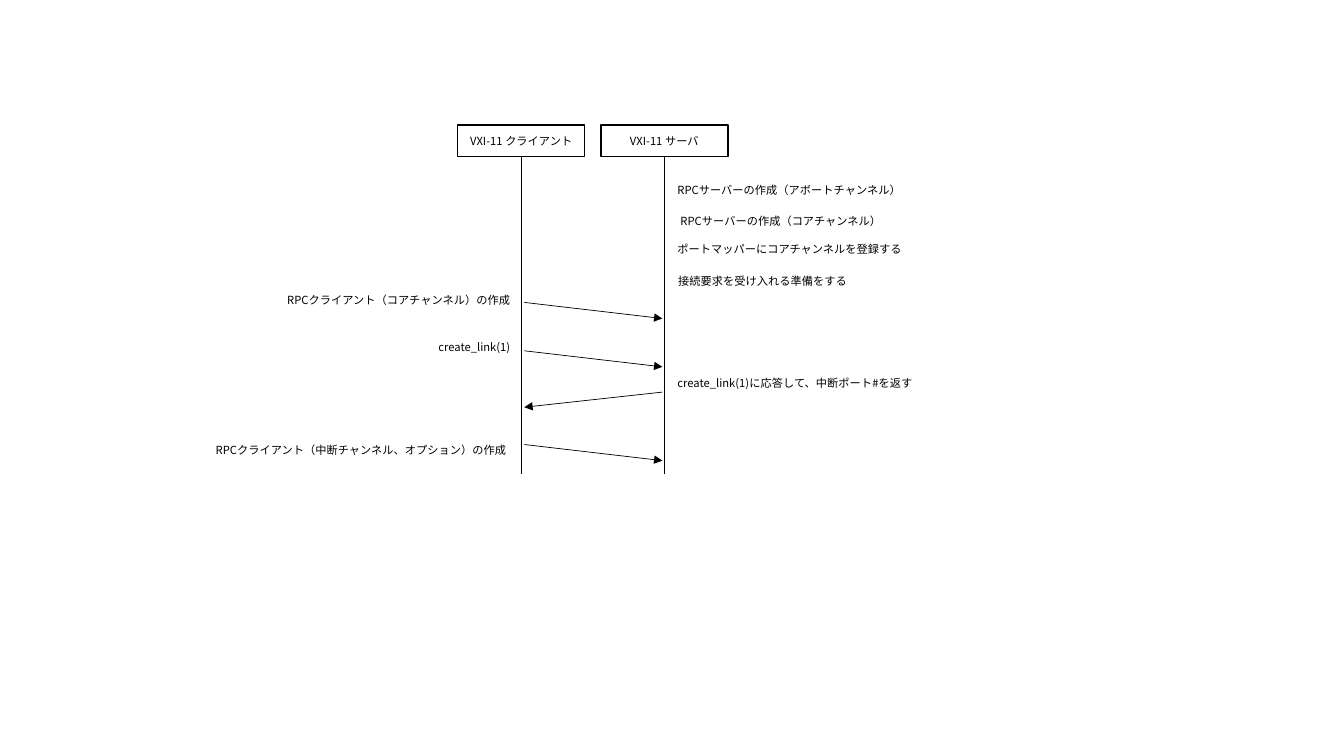
import pptx
import pptx.util
import pptx.dml.color
import pptx.enum.shapes
import pptx.enum.text
import pptx.oxml.ns
from lxml import etree

Inches = pptx.util.Inches
Align = pptx.enum.text.PP_ALIGN
Anchor = pptx.enum.text.MSO_ANCHOR
COLORS = {"ink": "000000", "paper": "FFFFFF"}
INK = pptx.dml.color.RGBColor.from_string(COLORS["ink"])
PAPER = pptx.dml.color.RGBColor.from_string(COLORS["paper"])
FONT = "Noto Sans CJK JP"
qn = pptx.oxml.ns.qn

deck = pptx.Presentation()
deck.slide_width, deck.slide_height = Inches(13.33), Inches(7.5)
page = deck.slides.add_slide(deck.slide_layouts[6])


def write(shape, text, align=Align.LEFT, anchor=Anchor.TOP):
    frame = shape.text_frame
    frame.word_wrap = True
    frame.vertical_anchor = anchor
    para = frame.paragraphs[0]
    para.alignment = align
    span = para.add_run()
    span.text = text
    span.font.size = pptx.util.Pt(8)
    span.font.name = FONT
    span.font.color.rgb = INK
    etree.SubElement(span.font._element, qn("a:ea"), typeface=FONT)


def add_line(start, end, arrow=False):
    line = page.shapes.add_connector(
        pptx.enum.shapes.MSO_CONNECTOR.STRAIGHT, *(Inches(v) for v in start + end))
    line.line.color.rgb = INK
    line.line.width = pptx.util.Pt(0.5)
    properties = line._element.spPr
    if arrow:
        etree.SubElement(properties.find(qn("a:ln")), qn("a:tailEnd"), type="triangle")
    etree.SubElement(properties, qn("a:effectLst"))
    return line


# Participants and their lifelines
box_top, box_width, box_height, lifeline_end = 1.24, 1.26, 0.31, 4.7
for left, name in [(4.54, "VXI-11 クライアント"), (5.96, "VXI-11 サーバ")]:
    participant = page.shapes.add_shape(
        pptx.enum.shapes.MSO_SHAPE.RECTANGLE,
        Inches(left), Inches(box_top), Inches(box_width), Inches(box_height))
    participant.shadow.inherit = False
    participant.fill.solid()
    participant.fill.fore_color.rgb = PAPER
    participant.line.color.rgb = INK
    participant.line.width = pptx.util.Pt(1)
    write(participant, name, align=Align.CENTER, anchor=Anchor.MIDDLE)
    center = left + box_width / 2
    lifeline = add_line((center, box_top + box_height), (center, lifeline_end))
    lifeline.begin_connect(participant, 2)

# Messages between the lifelines
client_x, server_x = 5.2, 6.57
for top in (3, 3.48, 4.41):
    add_line((client_x, top), (server_x, top + 0.16), arrow=True)
add_line((server_x, 3.89), (client_x, 4.04), arrow=True)

# Step labels: left, top, width, text, alignment
labels = [
    (6.62, 1.77, 2.45, "RPCサーバーの作成（アボートチャンネル）", Align.LEFT),
    (6.62, 2.08, 2.22, "RPCサーバーの作成（コアチャンネル）", Align.RIGHT),
    (6.62, 2.36, 2.45, "ポートマッパーにコアチャンネルを登録する", Align.LEFT),
    (6.62, 2.67, 1.88, "接続要求を受け入れる準備をする", Align.RIGHT),
    (2.71, 2.86, 2.45, "RPCクライアント（コアチャンネル）の作成", Align.RIGHT),
    (4.24, 3.33, 0.92, "create_link(1)", Align.RIGHT),
    (6.62, 3.68, 2.7, "create_link(1)に応答して、中断ポート#を返す", Align.LEFT),
    (2.04, 4.35, 3.12, "RPCクライアント（中断チャンネル、オプション）の作成", Align.LEFT),
]
for left, top, width, text, align in labels:
    label = page.shapes.add_textbox(Inches(left), Inches(top), Inches(width), Inches(0.24))
    write(label, text, align=align)

deck.save("out.pptx")
